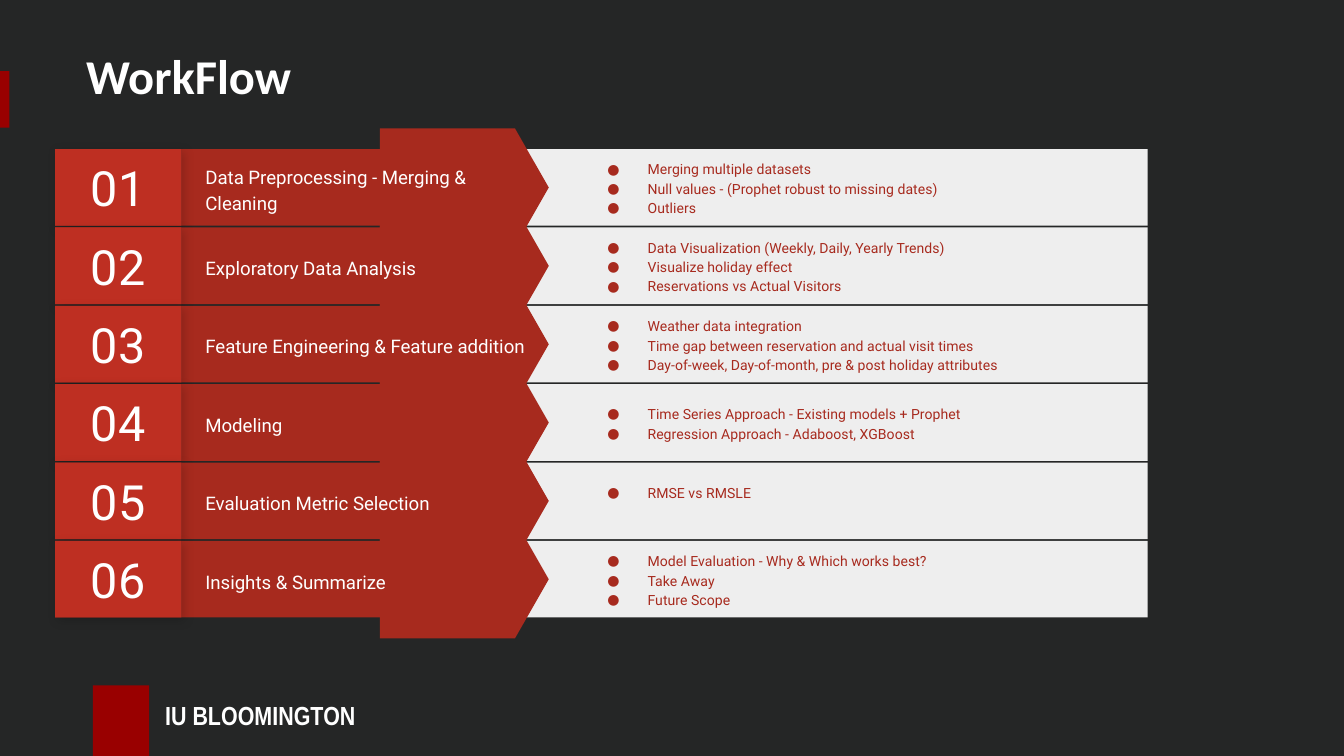
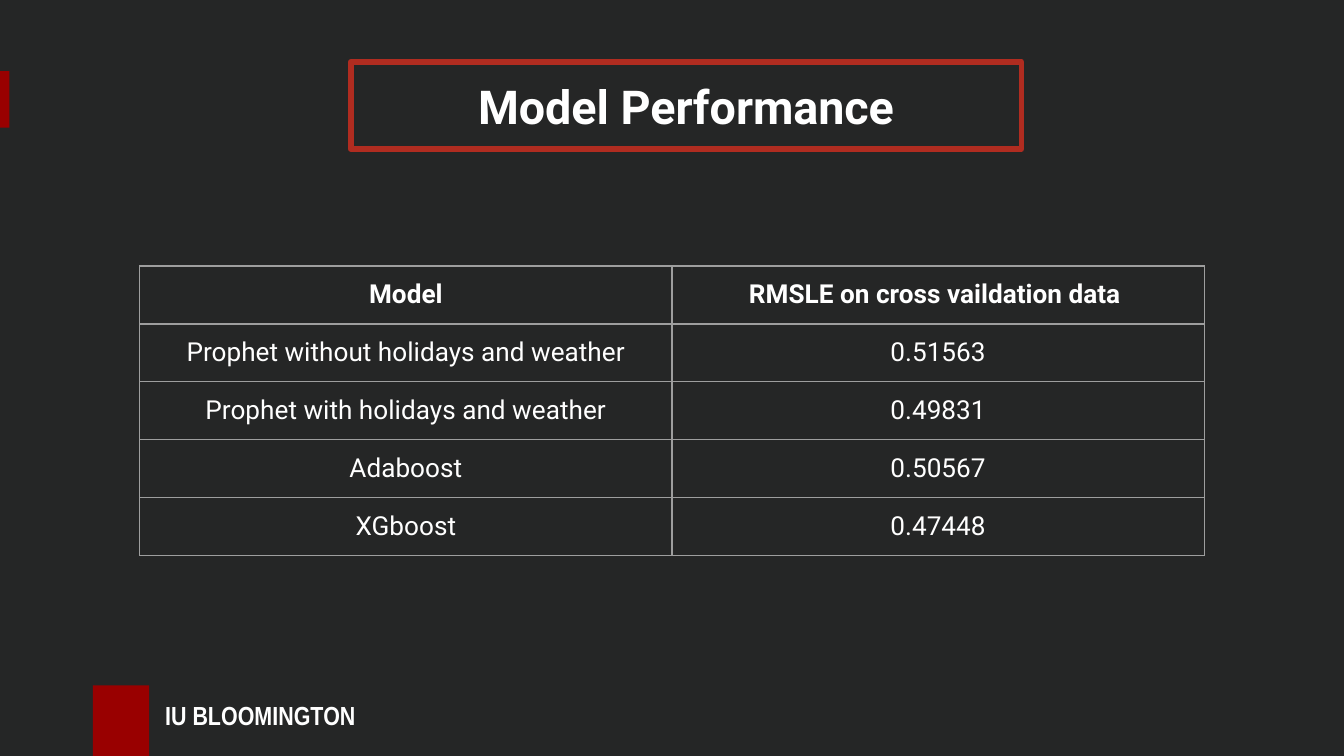
"""Build the workflow and model performance slides."""
from dataclasses import dataclass
from typing import NamedTuple, Optional, Sequence

from lxml import etree
from pptx import Presentation
from pptx import util as u
from pptx.dml.color import RGBColor
from pptx.enum import shapes, text
from pptx.oxml import parse_xml
from pptx.oxml.ns import nsdecls, qn

WIDTH = u.Inches(10)
HEIGHT = WIDTH * 9 // 16
CELL = WIDTH // 100
RECT = shapes.MSO_SHAPE.RECTANGLE
LEFT, CENTER = text.PP_ALIGN.LEFT, text.PP_ALIGN.CENTER


class Box(NamedTuple):
    """A frame in grid columns and rows."""
    col: float
    row: float
    cols: float
    rows: float

    def emu(self) -> list[int]:
        """Return left, top, width and height in EMU."""
        return [round(n * CELL) for n in self]


@dataclass(frozen=True)
class Type:
    """A text style."""
    size: float
    color: str
    font: str = "Roboto"
    bold: bool = False


@dataclass(frozen=True)
class Theme:
    """Colours and type styles of the deck."""
    page: str = "252626"
    crimson: str = "990000"
    frame: str = "B02C20"
    number_fill: str = "BE2F22"
    band: str = "A72A1E"
    panel: str = "EEEEEE"
    grid: str = "9E9E9E"
    brand: Type = Type(14, "FFFFFF", "Arial Narrow", True)
    title: Type = Type(26, "FFFFFF", "Calibri", True)
    boxed_title: Type = Type(25, "FFFFFF", bold=True)
    number: Type = Type(26, "FFFFFF")
    step: Type = Type(10, "FFFFFF")
    detail: Type = Type(7.5, "A72A1E")
    head: Type = Type(14, "FFFFFF", bold=True)
    body: Type = Type(14, "FFFFFF")


T = Theme()


@dataclass(frozen=True)
class Step:
    """One row of the workflow."""
    name: str
    details: Sequence[str]
    bottom_inset: float = 1


STEPS = (
    Step("Data Preprocessing - Merging & Cleaning",
         ("Merging multiple datasets",
          "Null values - (Prophet robust to missing dates)", "Outliers")),
    Step("Exploratory Data Analysis",
         ("Data Visualization (Weekly, Daily, Yearly Trends)",
          "Visualize holiday effect", "Reservations vs Actual Visitors")),
    Step("Feature Engineering & Feature addition",
         ("Weather data integration",
          "Time gap between reservation and actual visit times",
          "Day-of-week, Day-of-month, pre & post holiday attributes")),
    Step("Modeling",
         ("Time Series Approach - Existing models + Prophet",
          "Regression Approach - Adaboost, XGBoost")),
    Step("Evaluation Metric Selection", ("RMSE vs RMSLE",), 2.4),
    Step("Insights & Summarize",
         ("Model Evaluation - Why & Which works best?", "Take Away", "Future Scope")),
)
FIRST_ROW, PITCH, BAR = 11.1, 5.83, 5.7

SCORES = (
    ("Model", "RMSLE on cross vaildation data "),
    ("Prophet without holidays and weather", "0.51563"),
    ("Prophet with holidays and weather", "0.49831"),
    ("Adaboost", "0.50567"),
    ("XGboost", "0.47448"),
)


def rgb(color: str) -> RGBColor:
    """Turn a hex string into a colour."""
    return RGBColor.from_string(color)


def add_bullet(p, style: Type) -> None:
    """Give a paragraph a round bullet with a hanging indent."""
    pPr = p._p.get_or_add_pPr()
    pPr.set("marL", str(5 * CELL))
    pPr.set("indent", str(-3 * CELL))
    clr = etree.SubElement(pPr, qn("a:buClr"))
    etree.SubElement(clr, qn("a:srgbClr"), val=style.color)
    etree.SubElement(pPr, qn("a:buFont"), typeface=style.font)
    etree.SubElement(pPr, qn("a:buChar"), char="●")


def write(tf, lines: Sequence[str], style: Type, align=LEFT,
          spacing: Optional[float] = None, bullets: bool = False) -> None:
    """Write one paragraph per line in a text frame."""
    for i, line in enumerate(lines):
        p = tf.add_paragraph() if i else tf.paragraphs[0]
        if bullets:
            add_bullet(p, style)
        p.alignment = align
        if spacing:
            p.line_spacing = spacing
        r = p.add_run()
        r.text = line
        r.font.name, r.font.size, r.font.bold = style.font, u.Pt(style.size), style.bold
        r.font.color.rgb = rgb(style.color)


def set_frame(tf, side: float = 1, top: float = 1, bottom: float = 1) -> None:
    """Wrap and centre a text frame vertically, with insets in grid units."""
    tf.word_wrap = True
    tf.auto_size = text.MSO_AUTO_SIZE.NONE
    tf.vertical_anchor = text.MSO_ANCHOR.MIDDLE
    tf.margin_left = tf.margin_right = round(side * CELL)
    tf.margin_top, tf.margin_bottom = round(top * CELL), round(bottom * CELL)


def add_block(parent, box: Box, fill: str, kind=RECT):
    """Add a flat filled shape without outline."""
    sp = parent.add_shape(kind, *box.emu())
    sp.shadow.inherit = False
    sp.fill.solid()
    sp.fill.fore_color.rgb = rgb(fill)
    sp.line.fill.background()
    return sp


def add_text(parent, box: Box, lines: Sequence[str], style: Type,
             bottom: float = 1, **layout):
    """Add a wrapped text box."""
    sp = parent.add_textbox(*box.emu())
    set_frame(sp.text_frame, bottom=bottom)
    write(sp.text_frame, lines, style, **layout)
    return sp


def add_title(s, box: Box, words: str, style: Type, align=LEFT):
    """Place and format the title placeholder."""
    sp = s.shapes.title
    sp.left, sp.top, sp.width, sp.height = box.emu()
    set_frame(sp.text_frame, top=0.5, bottom=0.5)
    write(sp.text_frame, [words], style, align)
    return sp


def add_soft_shadow(sp) -> None:
    """Cast a faint shadow down and to the right."""
    effects = sp.element.spPr.find(qn("a:effectLst"))
    effects.append(parse_xml(
        f'<a:outerShdw {nsdecls("a")} blurRad="{u.Pt(5.6)}" dist="{u.Pt(2.2)}" '
        'dir="2700000" algn="tl" rotWithShape="0"><a:srgbClr val="000000">'
        '<a:alpha val="17000"/></a:srgbClr></a:outerShdw>'))


def add_brand(s) -> None:
    """Move the shared accents and footer to the layout of the slide."""
    brand = add_text(s.shapes, Box(11.3, 51.5, 39.5, 3.4), ["IU BLOOMINGTON"], T.brand)
    set_frame(brand.text_frame, top=0.5, bottom=0.5)
    for sp in (add_block(s.shapes, Box(-0.2, 5.3, 0.9, 4.2), T.crimson),
               add_block(s.shapes, Box(6.9, 51, 4.2, 5.8), T.crimson), brand):
        s.slide_layout.shapes.element.append(sp.element)


def add_arrow(s, row: float) -> None:
    """Add the arrow head, squeezed to the bar height by its group."""
    frame = Box(31.7, row + BAR / 2 - 9.7, BAR, 19.4)
    group = s.shapes.add_group_shape()
    sp = add_block(group.shapes, frame._replace(cols=8.8), T.band,
                   shapes.MSO_SHAPE.FLOWCHART_OFFPAGE_CONNECTOR)
    sp.rotation = 270
    group.left, group.top, group.width, group.height = frame.emu()


def add_step(s, index: int, step: Step) -> None:
    """Draw one workflow row."""
    row = FIRST_ROW + index * PITCH
    number_box = Box(4.1, row, 9.4, BAR)
    add_block(s.shapes, Box(33.2, row, 52.2, BAR), T.panel)
    add_block(s.shapes, Box(13.5, row, 25.2, BAR), T.band)
    add_arrow(s, row)
    add_text(s.shapes, Box(14.3, row + 0.7, 26.5, 4.4), [step.name], T.step, spacing=1.15)
    add_soft_shadow(add_block(s.shapes, number_box, T.frame))
    number = add_block(s.shapes, number_box, T.number_fill)
    set_frame(number.text_frame)
    write(number.text_frame, [f"{index + 1:02}"], T.number, CENTER)
    add_text(s.shapes, Box(42.2, row, 40.5, BAR), step.details, T.detail,
             step.bottom_inset, spacing=1.15, bullets=True)


def set_borders(cell, color: str, points: float) -> None:
    """Draw the four borders of a table cell."""
    tcPr = cell._tc.get_or_add_tcPr()
    for i, side in enumerate("LRTB"):
        tcPr.insert(i, parse_xml(
            f'<a:ln{side} {nsdecls("a")} w="{u.Pt(points)}"><a:solidFill>'
            f'<a:srgbClr val="{color}"/></a:solidFill></a:ln{side}>'))


def add_scores(s) -> None:
    """Add the table of model scores."""
    box = Box(10.4, 19.8, 79.2, 4.2 * len(SCORES))
    table = s.shapes.add_table(len(SCORES), len(SCORES[0]), *box.emu()).table
    table.first_row = table.horz_banding = False
    for i, record in enumerate(SCORES):
        for j, value in enumerate(record):
            cell = table.cell(i, j)
            cell.margin_left = cell.margin_right = CELL
            cell.margin_top = cell.margin_bottom = CELL
            cell.fill.background()
            set_borders(cell, T.grid, 0.75)
            write(cell.text_frame, [value], T.body if i else T.head, CENTER)


def main() -> None:
    """Build and save the deck."""
    prs = Presentation()
    prs.slide_width, prs.slide_height = WIDTH, HEIGHT
    fill = prs.slide_master.background.fill
    fill.solid()
    fill.fore_color.rgb = rgb(T.page)
    layout = prs.slide_layouts[5]

    s = prs.slides.add_slide(layout)
    add_brand(s)
    add_title(s, Box(5.4, 4, 49.9, 3.2), "WorkFlow", T.title)
    for index, step in enumerate(STEPS):
        add_step(s, index, step)

    s = prs.slides.add_slide(layout)
    add_scores(s)
    title = add_title(s, Box(26.1, 4.6, 49.9, 6.5), "Model Performance",
                      T.boxed_title, CENTER)
    title.line.color.rgb = rgb(T.frame)
    title.line.width = u.Pt(3)

    prs.save("out.pptx")


if __name__ == "__main__":
    main()
